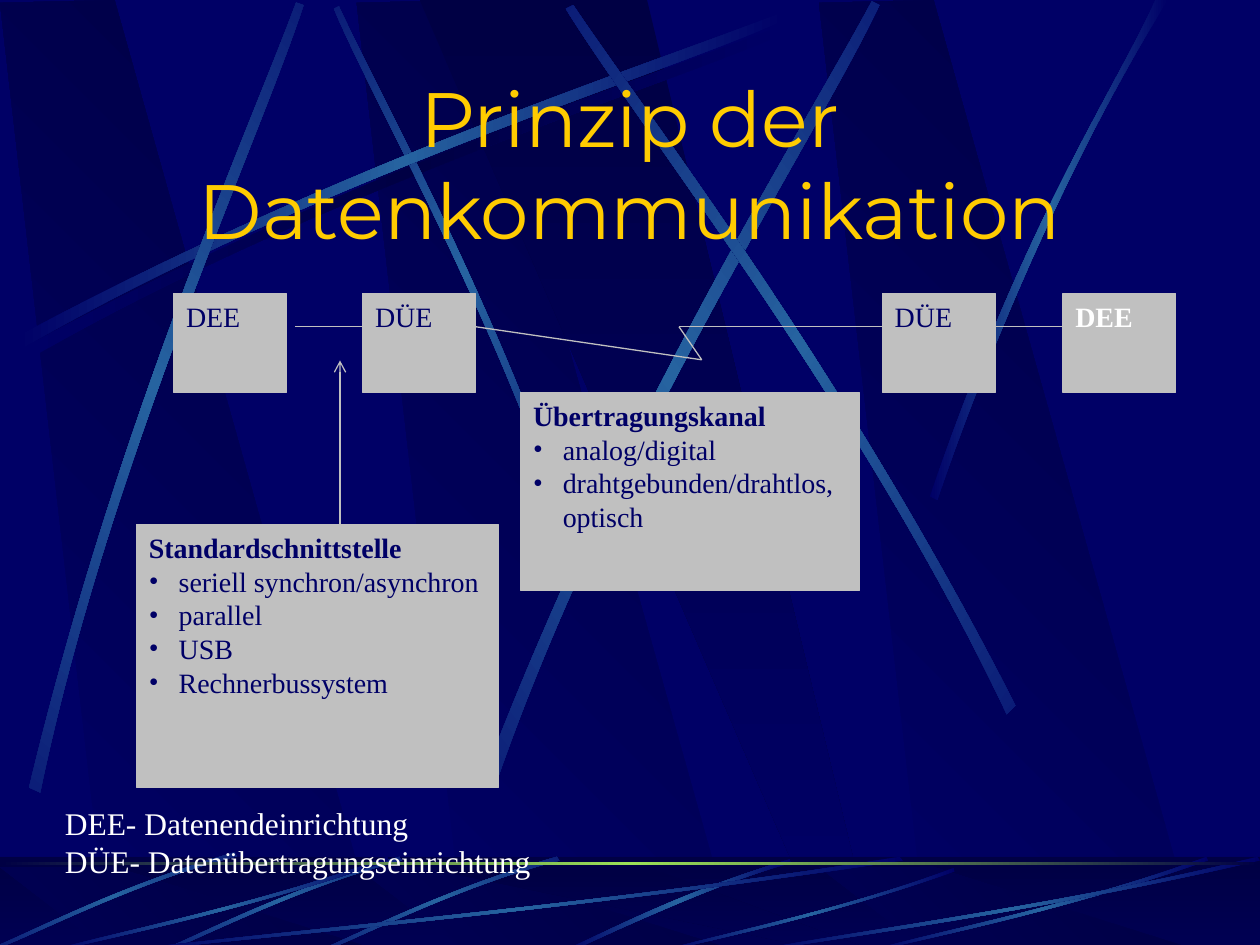
"""Build the slide on the principle of data communication."""
from math import cos, radians, sin

from lxml.etree import SubElement
from pptx import Presentation
from pptx.dml.color import RGBColor
from pptx.enum.shapes import MSO_CONNECTOR, MSO_SHAPE
from pptx.enum.text import MSO_ANCHOR, PP_ALIGN
from pptx.oxml import parse_xml
from pptx.oxml.ns import nsdecls, qn
from pptx.util import Pt

NAVY = RGBColor(0x00, 0x00, 0x66)
DARK = RGBColor(0x00, 0x00, 0x44)
BLUE = RGBColor(0x26, 0x63, 0xA0)
LIME = RGBColor(0x9C, 0xE1, 0x57)
GOLD = RGBColor(0xFF, 0xCC, 0x00)
GREY = RGBColor(0xC0, 0xC0, 0xC0)
WHITE = RGBColor(0xFF, 0xFF, 0xFF)

SERIF = "Times New Roman"
BODY = {"name": SERIF, "size": Pt(16), "bold": False}
HEAD = {**BODY, "bold": True}
NOTE = {**BODY, "size": Pt(18)}
TITLE = {"name": "Montserrat", "size": Pt(44), "bold": False}

GLOW = (NAVY, BLUE, NAVY)
SHADE = (NAVY, DARK, NAVY)
PANEL = ((0.285, 0.997), (1, 1), (0.301, 0), (0, 0.003))
BEAM = ((0, 0), (0.9, 1), (1, 1), (0.5, 0))
SWEEP = ((1, 0.04), (0.566, 0.573), (0.172, 0.853), (0.005, 1),
         (0, 0.987), (0.165, 0.813), (0.616, 0.507), (0.995, 0))
WIDE = ((14.4, 198), (204.5, 96.5), (377.3, 42.5), (450.7, 13),
        (452.9, 17.3), (380.2, 49.7), (182.9, 108.7), (16.6, 205.2))
RAYS = (
    (45, ((331.2, 313.9), (281.5, 168.5), (217.4, 55.4), (193.7, 3.6),
          (190.8, 5), (212.4, 56.9), (286.6, 185.8), (326.9, 316.1))),
    (0, tuple((x - 4.3, y - 5.8) for x, y in WIDE)),
    (311.7, ((16.6, 450), (67, 240.5), (141.8, 75.6), (169.2, 1.4),
             (173.5, 2.9), (149, 78.5), (61.9, 265), (23, 452.9))),
    (321.6, ((277.2, 442.1), (358.6, 230.4), (459.4, 73.4), (498.2, 0.7),
             (502.6, 2.9), (467.3, 77.8), (349.9, 255.6), (283.7, 447.1))),
    (34.7, ((580.3, 403.2), (482.4, 211), (371.5, 68.4), (327.6, 2.9),
            (323.3, 5), (365, 72.7), (493.2, 234), (575.3, 408.2))),
    (0, ((531.4, 283.7), (586.1, 124.6), (639.4, 47.5), (660.2, 0),
         (667.4, 0), (601.9, 104.4), (553.7, 231.8), (535.7, 285.8))),
)
ARC = ((451.4, 491), (386.6, 510.5), (343.4, 534.2), (322.6, 542.9),
       (326.2, 543.6), (352.8, 531.4), (411.1, 504), (452.2, 493.2))
TILT = ((318.2, 489.6), (255.6, 507.6), (206.6, 532.8), (184.3, 542.2),
        (185, 543.6), (207.4, 535), (262.8, 506.2), (319.7, 491.8))


def blend(shape, tones, angle):
    """Fill a shape with evenly spaced gradient tones."""
    step = 100000 // (len(tones) - 1)
    stops = "".join(f'<a:gs pos="{i * step}"><a:srgbClr val="{tone}"/></a:gs>'
                    for i, tone in enumerate(tones))
    shape.fill.gradient()
    old = shape._element.spPr.find(qn("a:gradFill"))
    old.getparent().replace(old, parse_xml(
        f'<a:gradFill {nsdecls("a")} rotWithShape="1"><a:gsLst>{stops}</a:gsLst>'
        f'<a:lin ang="{angle * 60000}" scaled="0"/></a:gradFill>'))


def plain(shape):
    """Drop the outline and the shadow."""
    shape.line.fill.background()
    shape.shadow.inherit = False


def scale(unit, left, top, width, height):
    """Stretch unit points over a frame."""
    return [(left + x * width, top + y * height) for x, y in unit]


def turn(point, angle):
    """Rotate a point about the origin."""
    x, y = point
    c, s = cos(radians(angle)), sin(radians(angle))
    return x * c - y * s, x * s + y * c


def poly(slide, points, tones, angle=0, spin=0):
    """Draw a closed outline whose own frame is rotated by spin."""
    flat = [turn(point, -spin) for point in points]
    first, *rest = [(Pt(x), Pt(y)) for x, y in flat]
    pen = slide.shapes.build_freeform(*first)
    pen.add_line_segments(rest, close=True)
    shape = pen.convert_to_shape()
    mid = shape.left + shape.width / 2, shape.top + shape.height / 2
    x, y = turn(mid, spin)
    shape.left, shape.top = int(x - shape.width / 2), int(y - shape.height / 2)
    shape.rotation = spin
    blend(shape, tones, angle)
    plain(shape)
    return shape


def ray(slide, points, tones=GLOW, spin=0):
    """Draw a tapering streak bounded by two cubic curves."""
    shape = poly(slide, points, tones, spin=spin)
    legs = list(shape._element.iter(qn("a:lnTo")))
    for group in (legs[:3], legs[4:7]):
        curve = SubElement(group[0].getparent(), qn("a:cubicBezTo"))
        group[0].addprevious(curve)
        for leg in group:
            curve.append(leg[0])
            leg.getparent().remove(leg)


def rect(slide, *frame):
    """Add a rectangle."""
    return slide.shapes.add_shape(MSO_SHAPE.RECTANGLE, *map(Pt, frame))


def slabs(slide, top, height):
    """Draw three panels and a beam."""
    for left in (203.8, 0, 468):
        poly(slide, scale(PANEL, left, top, 217.4, height), (NAVY, DARK), 315)
    poly(slide, scale(BEAM, 239.8, top, 259.9, height), (DARK, NAVY), 90)


def scene(slide):
    """Draw the panels and the upper streaks."""
    slabs(slide, 0, 541.4)
    ray(slide, WIDE, SHADE)
    for spin, points in RAYS:
        ray(slide, points, spin=spin)


def floor(slide):
    """Draw the band along the bottom edge."""
    band = 0, 489.6, 720, 54
    base = rect(slide, *band)
    blend(base, (DARK, NAVY), 90)
    plain(base)
    slabs(slide, 495.4, 48)
    veil = rect(slide, *band)
    veil.fill.solid()
    veil.fill.fore_color.rgb = DARK
    tone = veil._element.spPr.find(qn("a:solidFill"))[0]
    SubElement(tone, qn("a:alpha"), val="50000")
    plain(veil)
    ray(slide, ARC)
    for dx, dy in ((0, 0), (-90, 0), (-184.3, -2.5)):
        ray(slide, [(x + dx, y + dy) for x, y in TILT], spin=315)
    for left, top, width in ((72, 489.6, 444.2), (30.2, 489.6, 192.2),
                             (379.4, 496, 166.3), (498.2, 489.6, 192.2),
                             (432, 489.6, 288)):
        ray(slide, scale(SWEEP, left, top, width, 543.6 - top))
    rule = rect(slide, 0, 492.4, 720, 1.8)
    blend(rule, (DARK, LIME, DARK), 0)
    plain(rule)


def settle(slide):
    """Move the backdrop shapes to the slide's layout."""
    tree = slide.slide_layout.shapes._spTree
    for shape in list(slide.shapes):
        tree.append(shape._element)


def write(shape, lines, tone, align=PP_ALIGN.LEFT, anchor=MSO_ANCHOR.TOP):
    """Write lines of (text, format, bullet) into a shape."""
    frame = shape.text_frame
    frame.word_wrap = True
    frame.vertical_anchor = anchor
    for i, (text, style, dot) in enumerate(lines):
        para = frame.paragraphs[0] if i == 0 else frame.add_paragraph()
        para.alignment = align
        run = para.add_run()
        run.text = text
        run.font.color.rgb = tone
        for key, value in style.items():
            setattr(run.font, key, value)
        if dot:
            props = para._p.get_or_add_pPr()
            props.set("marL", str(Pt(17)))
            props.set("indent", str(-Pt(17)))
            SubElement(props, qn("a:buFont"), typeface=SERIF)
            SubElement(props, qn("a:buChar"), char="•")


def box(slide, frame, head, items=(), style=HEAD, tone=NAVY):
    """Add a grey box with a heading and bullets."""
    shape = rect(slide, *frame)
    shape.fill.solid()
    shape.fill.fore_color.rgb = GREY
    shape.line.color.rgb = GREY
    shape.line.width = Pt(0.75)
    shape.shadow.inherit = False
    write(shape, [(head, style, False)] + [(item, BODY, True) for item in items], tone)


def wire(slide, *ends, arrow=False):
    """Draw a thin line, with an arrowhead at its start if asked."""
    link = slide.shapes.add_connector(MSO_CONNECTOR.STRAIGHT, *map(Pt, ends))
    link.line.color.rgb = GREY
    link.line.width = Pt(0.75)
    if arrow:
        SubElement(link.line._get_or_add_ln(), qn("a:headEnd"), type="arrow")
    SubElement(link._element.spPr, qn("a:effectLst"))


def label(slide, frame, lines, tone, **place):
    """Add a text box."""
    write(slide.shapes.add_textbox(*map(Pt, frame)), lines, tone, **place)


def main():
    """Build and save the slide."""
    deck = Presentation()
    deck.slide_width, deck.slide_height = Pt(720), Pt(540)
    slide = deck.slides.add_slide(deck.slide_layouts[6])
    slide.background.fill.solid()
    slide.background.fill.fore_color.rgb = NAVY
    scene(slide)
    floor(slide)
    settle(slide)
    label(slide, (54, 36.5, 612, 113), [("Prinzip der Datenkommunikation", TITLE, False)],
          GOLD, align=PP_ALIGN.CENTER, anchor=MSO_ANCHOR.MIDDLE)
    for left, text, style, tone in ((99.2, "DEE", BODY, NAVY), (207.2, "DÜE", BODY, NAVY),
                                    (504.2, "DÜE", BODY, NAVY), (607.4, "DEE", HEAD, WHITE)):
        box(slide, (left, 167.8, 64.5, 56.4), text, style=style, tone=tone)
    for ends in ((168.5, 186.7, 207.2, 186.7), (568.8, 186.7, 607.4, 186.7),
                 (271.7, 186.7, 401, 205.6), (401, 205.6, 388, 186.7),
                 (388, 186.7, 504.2, 186.7)):
        wire(slide, *ends)
    wire(slide, 194.3, 206, 194.3, 299.8, arrow=True)
    box(slide, (78, 299.8, 206.8, 150.2), "Standardschnittstelle",
        ("seriell synchron/asynchron", "parallel", "USB", "Rechnerbussystem"))
    box(slide, (297.5, 224.4, 193.7, 113), "Übertragungskanal",
        ("analog/digital", "drahtgebunden/drahtlos, optisch"))
    label(slide, (30, 455.8, 720, 79.2), [("DEE- Datenendeinrichtung", NOTE, False),
          ("DÜE- Datenübertragungseinrichtung", NOTE, False)], WHITE)
    deck.save("out.pptx")


if __name__ == "__main__":
    main()
